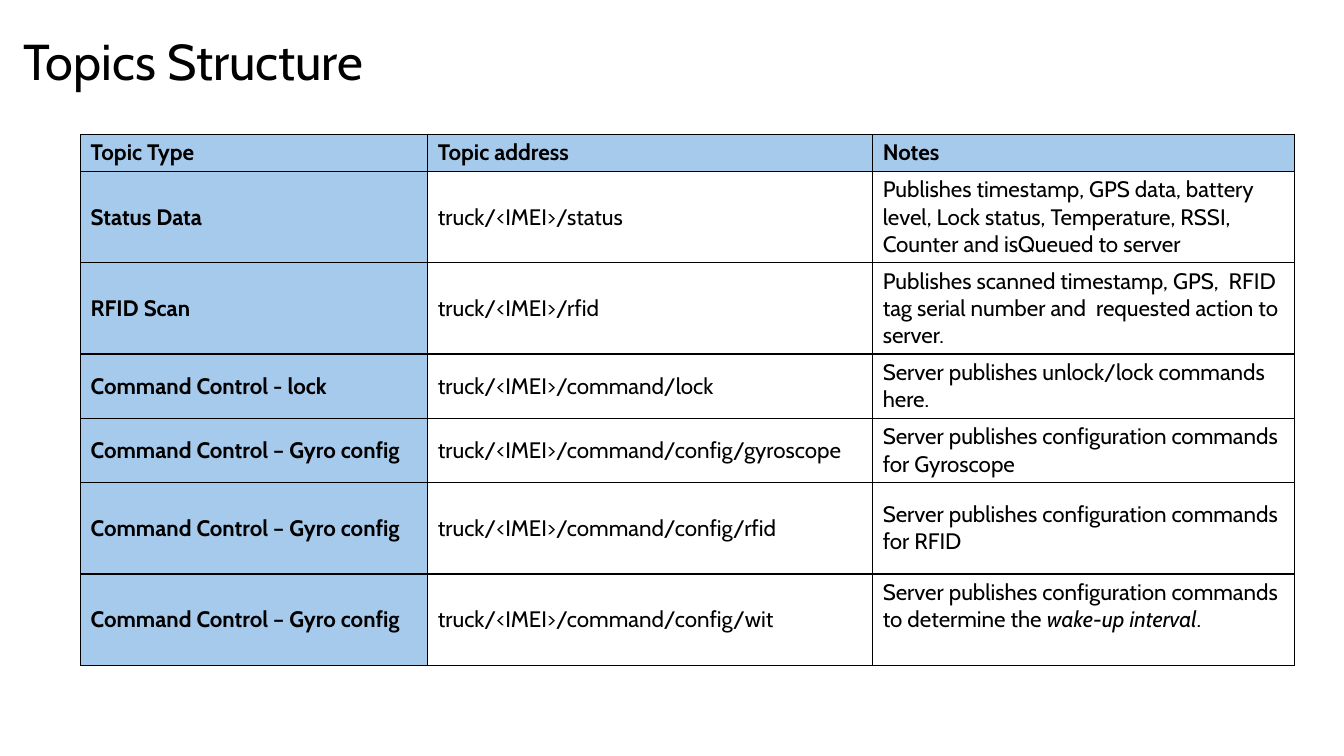
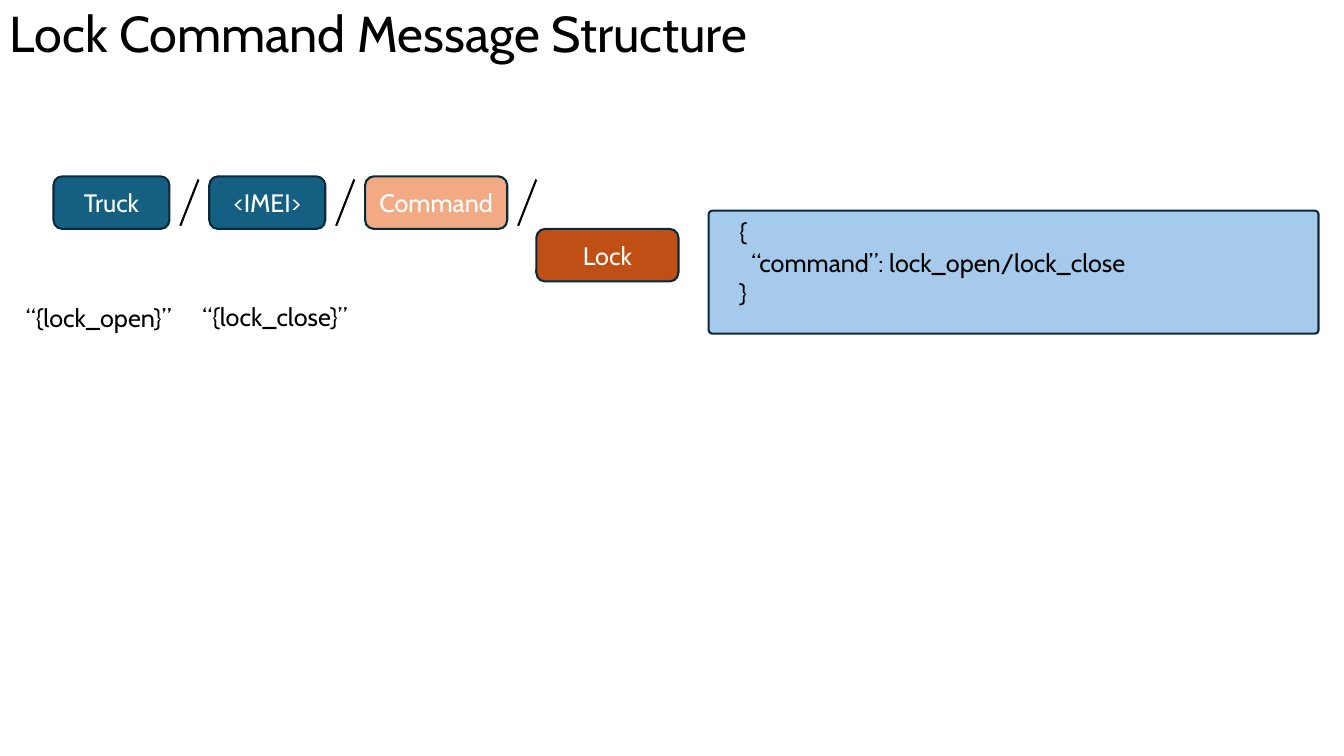
from dataclasses import dataclass

import pptx
import pptx.dml.color
import pptx.enum.shapes
import pptx.enum.text
import pptx.oxml
import pptx.oxml.ns
import pptx.util

Pt = pptx.util.Pt
ALIGN = pptx.enum.text.PP_ALIGN
ANCHOR = pptx.enum.text.MSO_ANCHOR


@dataclass(frozen=True)
class Theme:
    font: str = "Cabin"
    ink: str = "000000"
    white: str = "FFFFFF"
    pale_blue: str = "A6CAEC"
    teal: str = "156082"
    peach: str = "F2AA84"
    rust: str = "C04F15"
    outline: str = "092A39"
    title_size: float = 36
    body_size: float = 18
    table_size: float = 16
    stroke: float = 1.5
    grid_stroke: float = 1


THEME = Theme()

LOCK_TITLE = "Command Control - lock"
GYRO_TITLE = "Command Control – Gyro config"
TOPICS = [
    ("Topic Type", "Topic address", "Notes"),
    ("Status Data", "truck/<IMEI>/status",
     "Publishes timestamp, GPS data, battery level, Lock status, Temperature, "
     "RSSI, Counter and isQueued to server"),
    ("RFID Scan", "truck/<IMEI>/rfid",
     "Publishes scanned timestamp, GPS,  RFID tag serial number and  "
     "requested action to server."),
    (LOCK_TITLE, "truck/<IMEI>/command/lock",
     "Server publishes unlock/lock commands here."),
    (GYRO_TITLE, "truck/<IMEI>/command/config/gyroscope",
     "Server publishes configuration commands for Gyroscope"),
    (GYRO_TITLE, "truck/<IMEI>/command/config/rfid",
     "Server publishes configuration commands for RFID"),
    (GYRO_TITLE, "truck/<IMEI>/command/config/wit",
     "Server publishes configuration commands to determine the "),
]
COLUMN_WIDTHS = (248, 317.8, 301.2)
ROW_HEIGHTS = (26, 65.2, 65.2, 46, 46, 65.2, 65.2)


def rgb(value):
    return pptx.dml.color.RGBColor.from_string(value)


def format_runs(frame, size, color=THEME.ink, bold=False):
    for paragraph in frame.paragraphs:
        for run in paragraph.runs:
            run.font.name = THEME.font
            run.font.size = Pt(size)
            run.font.bold = bold
            run.font.color.rgb = rgb(color)


def add_label(slide, text, left, top, width, height, size=THEME.body_size):
    box = slide.shapes.add_textbox(Pt(left), Pt(top), Pt(width), Pt(height))
    frame = box.text_frame
    frame.word_wrap = True
    frame.text = text
    format_runs(frame, size)
    return frame


def add_title(slide, text, left, top, height):
    frame = add_label(slide, text, left, top, 828, height, THEME.title_size)
    frame.vertical_anchor = ANCHOR.MIDDLE
    frame.paragraphs[0].line_spacing = 0.9


def add_rounded_box(slide, text, left, top, width, height, fill, color):
    box = slide.shapes.add_shape(
        pptx.enum.shapes.MSO_SHAPE.ROUNDED_RECTANGLE,
        Pt(left), Pt(top), Pt(width), Pt(height))
    box.shadow.inherit = False
    box.fill.solid()
    box.fill.fore_color.rgb = rgb(fill)
    box.line.color.rgb = rgb(THEME.outline)
    box.line.width = Pt(THEME.stroke)
    frame = box.text_frame
    frame.text = text
    frame.vertical_anchor = ANCHOR.MIDDLE
    for paragraph in frame.paragraphs:
        paragraph.alignment = ALIGN.CENTER
    format_runs(frame, THEME.body_size, color)
    return box


def add_slash(slide, left):
    slash = slide.shapes.add_connector(
        pptx.enum.shapes.MSO_CONNECTOR.STRAIGHT,
        Pt(left + 13), Pt(128.2), Pt(left), Pt(161.3))
    slash.line.color.rgb = rgb(THEME.ink)
    slash.line.width = Pt(THEME.stroke)
    properties = slash._element.spPr
    properties.append(properties.makeelement(pptx.oxml.ns.qn("a:effectLst"), {}))


def add_cell_borders(cell):
    properties = cell._tc.get_or_add_tcPr()
    for side in ("lnL", "lnR", "lnT", "lnB"):
        properties.append(pptx.oxml.parse_xml(
            f'<a:{side} {pptx.oxml.ns.nsdecls("a")} w="{Pt(THEME.grid_stroke)}">'
            f'<a:solidFill><a:srgbClr val="{THEME.ink}"/></a:solidFill></a:{side}>'))


def fill_cell(cell, text, is_heading):
    add_cell_borders(cell)
    if is_heading:
        cell.fill.solid()
        cell.fill.fore_color.rgb = rgb(THEME.pale_blue)
    else:
        cell.fill.background()
    cell.vertical_anchor = ANCHOR.MIDDLE
    cell.text_frame.text = text
    format_runs(cell.text_frame, THEME.table_size, bold=is_heading)


def add_topic_table(slide):
    table = slide.shapes.add_table(
        len(TOPICS), len(COLUMN_WIDTHS), Pt(57.6), Pt(96),
        Pt(sum(COLUMN_WIDTHS)), Pt(sum(ROW_HEIGHTS))).table
    for column, width in zip(table.columns, COLUMN_WIDTHS):
        column.width = Pt(width)
    for row, height in zip(table.rows, ROW_HEIGHTS):
        row.height = Pt(height)
    for r, topic in enumerate(TOPICS):
        for c, text in enumerate(topic):
            fill_cell(table.cell(r, c), text, r == 0 or c == 0)

    wake_up_note = table.cell(len(TOPICS) - 1, 2)
    wake_up_note.margin_bottom = Pt(23)
    sentence = wake_up_note.text_frame.paragraphs[0]
    for text in ("wake-up interval", "."):
        sentence.add_run().text = text
    format_runs(wake_up_note.text_frame, THEME.table_size)
    sentence.runs[1].font.italic = True


def add_topic_segments(slide):
    """Draw the topic address as boxes parted by slashes, the last one a step lower."""
    left, top, height = 38.2, 126, 37.5
    for text, width, fill in (("Truck", 82.8, THEME.teal),
                              ("<IMEI>", 82.8, THEME.teal),
                              ("Command", 101.5, THEME.peach)):
        add_rounded_box(slide, text, left, top, width, height, fill, THEME.white)
        slash_left = left + width + 7.8
        add_slash(slide, slash_left)
        left += width + 28.5
    add_rounded_box(slide, "Lock", slash_left + 13, top + height, 101.5, height,
                    THEME.rust, THEME.white)


def add_payload(slide):
    payload = add_rounded_box(
        slide, "{\n“command”: lock_open/lock_close\n}",
        506.2, 150.5, 435.6, 87.8, THEME.pale_blue, THEME.ink)
    payload.adjustments[0] = 0.03
    frame = payload.text_frame
    frame.vertical_anchor = ANCHOR.TOP
    frame.margin_left = Pt(21.2)
    for paragraph in frame.paragraphs:
        paragraph.alignment = ALIGN.LEFT
    frame.paragraphs[1]._p.get_or_add_pPr().set("marL", str(Pt(8.5)))


def build_topics_slide(slide):
    add_title(slide, "Topics Structure", 9.4, 8.6, 74.2)
    add_topic_table(slide)


def build_lock_slide(slide):
    add_topic_segments(slide)
    add_payload(slide)
    add_label(slide, "“{lock_open}”", 11.5, 212.6, 150, 29)
    add_label(slide, "“{lock_close}”", 137.5, 212, 150, 29)
    add_title(slide, "Lock Command Message Structure", 0, 0, 51)


def main():
    deck = pptx.Presentation()
    deck.slide_width, deck.slide_height = Pt(960), Pt(540)
    blank = deck.slide_layouts[6]
    for build in (build_topics_slide, build_lock_slide):
        build(deck.slides.add_slide(blank))
    deck.save("out.pptx")


if __name__ == "__main__":
    main()
